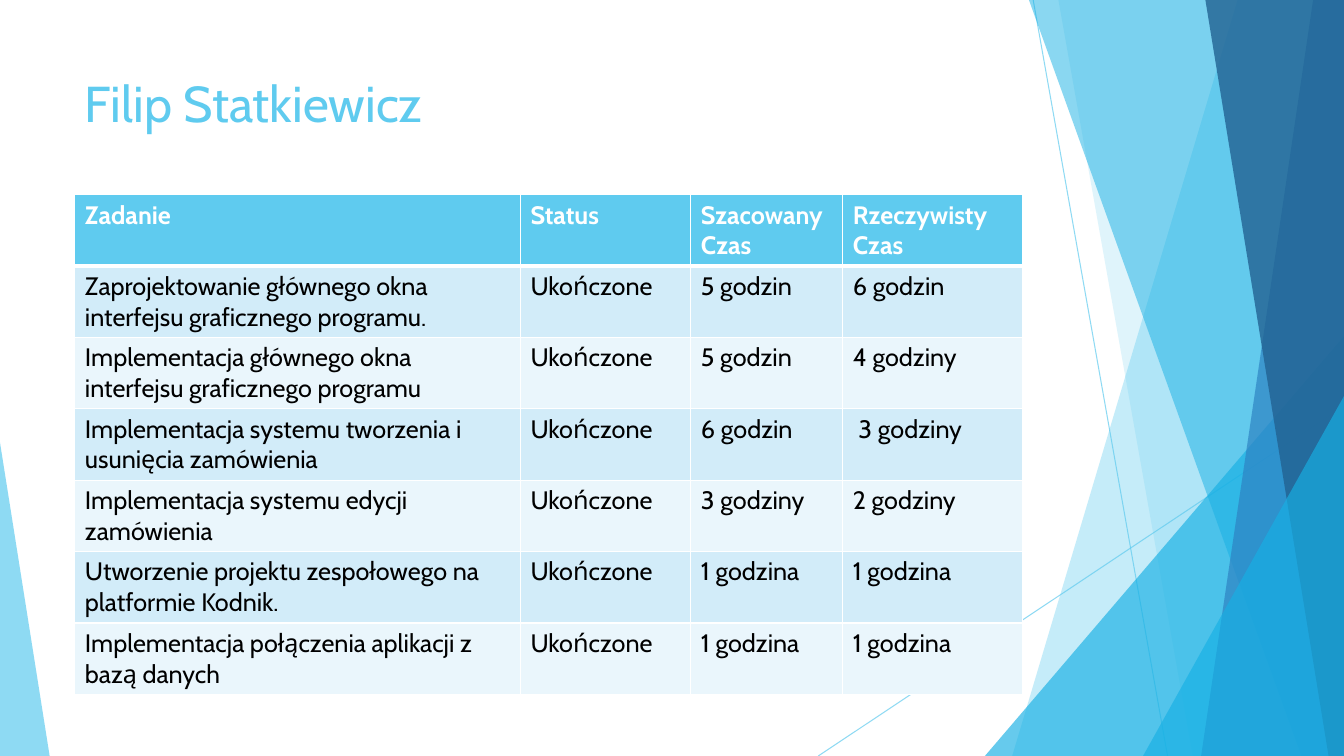
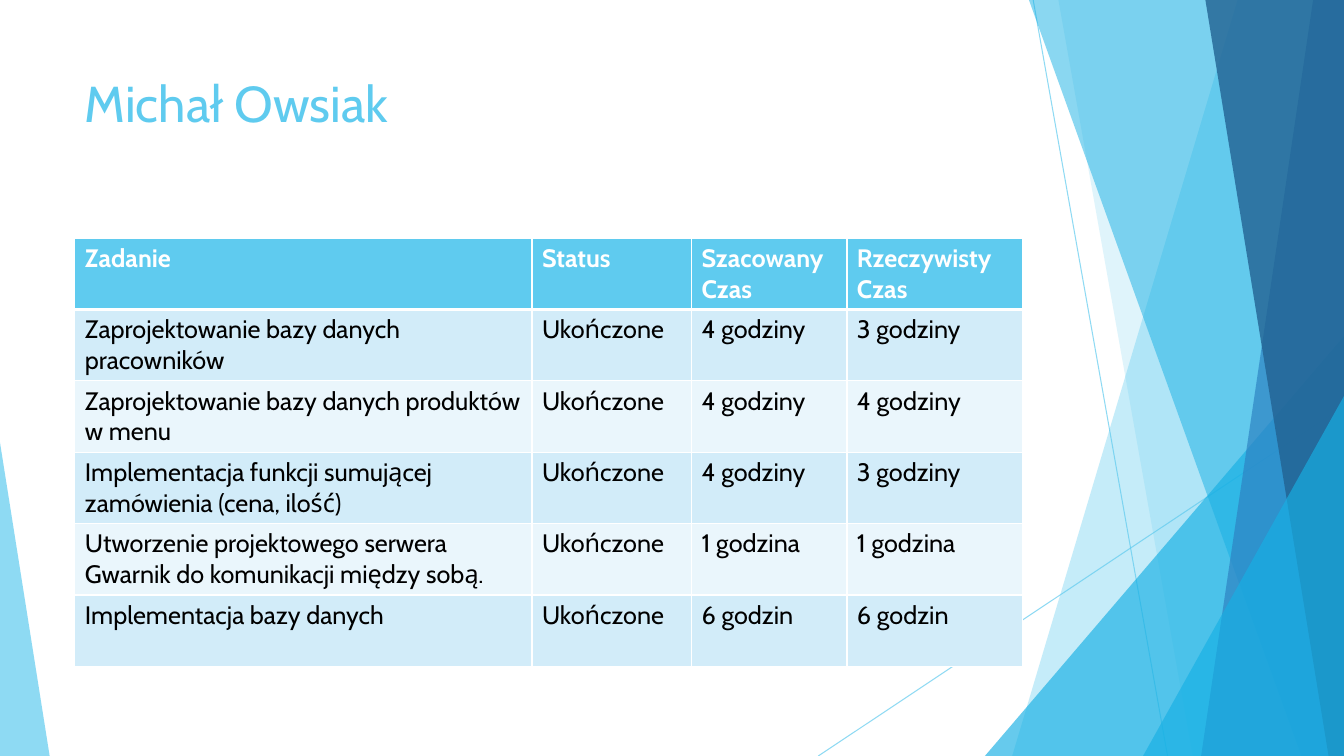
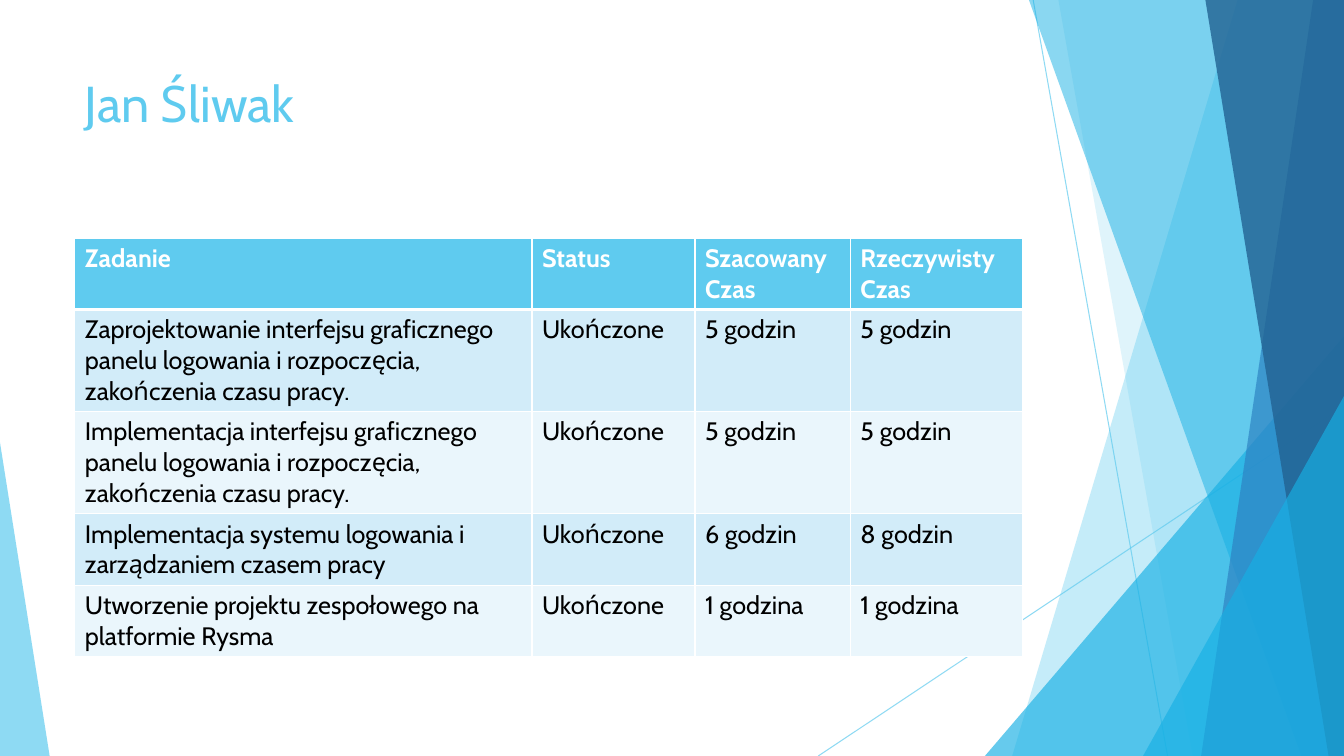
from lxml import etree
from pptx import Presentation
from pptx.dml.color import RGBColor
from pptx.enum.shapes import MSO_CONNECTOR, MSO_SHAPE
from pptx.oxml.ns import qn
from pptx.util import Pt

STRAIGHT = MSO_CONNECTOR.STRAIGHT
TRIANGLE = MSO_SHAPE.ISOSCELES_TRIANGLE

SKY = RGBColor(0x5F, 0xCB, 0xEF)
CYAN = RGBColor(0x17, 0xB0, 0xE4)
BLUE = RGBColor(0x2E, 0x83, 0xC3)
NAVY = RGBColor(0x22, 0x62, 0x92)
BAND_DARK = RGBColor(0xD2, 0xEC, 0xF9)
BAND_LIGHT = RGBColor(0xEA, 0xF6, 0xFC)
WHITE = RGBColor(0xFF, 0xFF, 0xFF)
BLACK = RGBColor(0, 0, 0)

FONT = "Cabin"
TITLE_SIZE, TABLE_SIZE = 36, 18
SLIDE_WIDTH, SLIDE_HEIGHT = 960, 540
LEFT, CONTENT_WIDTH = 53.5, 677
LINE_HEIGHT, CELL_PADDING = 22, 7

DONE = "Ukończone"
HEADER = ("Zadanie", "Status", "Szacowany Czas", "Rzeczywisty Czas")

# Each task: name, estimated time, actual time, lines of text in its row
MEMBERS = [
    {"name": "Filip Statkiewicz", "top": 139, "columns": (318.25, 121.75, 108.5, 128.5), "tasks": [
        ("Zaprojektowanie głównego okna interfejsu graficznego programu.", "5 godzin", "6 godzin", 2),
        ("Implementacja głównego okna interfejsu graficznego programu", "5 godzin", "4 godziny", 2),
        ("Implementacja systemu tworzenia i usunięcia zamówienia", "6 godzin", " 3 godziny", 2),
        ("Implementacja systemu edycji zamówienia", "3 godziny", "2 godziny", 2),
        ("Utworzenie projektu zespołowego na platformie Kodnik.", "1 godzina", "1 godzina", 2),
        ("Implementacja połączenia aplikacji z bazą danych", "1 godzina", "1 godzina", 2),
    ]},
    {"name": "Michał Owsiak", "top": 170, "columns": (326.5, 114, 111, 125.5), "tasks": [
        ("Zaprojektowanie bazy danych pracowników", "4 godziny", "3 godziny", 2),
        ("Zaprojektowanie bazy danych produktów w menu", "4 godziny", "4 godziny", 2),
        ("Implementacja funkcji sumującej zamówienia (cena, ilość)", "4 godziny", "3 godziny", 2),
        ("Utworzenie projektowego serwera Gwarnik do komunikacji między sobą.", "1 godzina", "1 godzina", 2),
        ("Implementacja bazy danych", "6 godzin", "6 godzin", 2),
    ]},
    {"name": "Jan Śliwak", "top": 170, "columns": (326.5, 116.5, 111, 123), "tasks": [
        ("Zaprojektowanie interfejsu graficznego panelu logowania i rozpoczęcia, zakończenia czasu pracy.",
         "5 godzin", "5 godzin", 3),
        ("Implementacja interfejsu graficznego panelu logowania i rozpoczęcia, zakończenia czasu pracy.",
         "5 godzin", "5 godzin", 3),
        ("Implementacja systemu logowania i zarządzaniem czasem pracy", "6 godzin", "8 godzin", 2),
        ("Utworzenie projektu zespołowego na platformie Rysma", "1 godzina", "1 godzina", 2),
    ]},
]

# Thin lines: x and y of both ends
RAYS = [(738, 0, 834, 540), (960, 290, 584.5, 540)]
# Panels run to the right edge: ("panel", x at top, x at bottom, colour, opacity)
# Triangles: ("triangle", (left, top, width, height), apex, colour, opacity)
FACETS = [
    ("panel", 884, 723, SKY, 36),
    ("panel", 756, 852, SKY, 20),
    ("triangle", (703.5, 240, 256.5, 300), 1, CYAN, 66),
    ("panel", 735, 929.5, CYAN, 50),
    ("panel", 938, 858, BLUE, 70),
    ("panel", 861, 949, NAVY, 80),
    ("triangle", (816.5, 283, 143.5, 257), 1, CYAN, 66),
    ("triangle", (0, 316, 35.5, 224), 0, SKY, 70),
]


def set_opacity(shape, percent):
    """Make the solid fill or line colour of a shape see-through."""
    colour = next(shape._element.spPr.iter(qn("a:srgbClr")))
    etree.SubElement(colour, qn("a:alpha")).set("val", str(percent * 1000))


def add_ray(slide, x1, y1, x2, y2):
    """Draw one thin background line."""
    ray = slide.shapes.add_connector(STRAIGHT, Pt(x1), Pt(y1), Pt(x2), Pt(y2))
    ray.line.color.rgb = SKY
    ray.line.width = Pt(0.75)
    set_opacity(ray, 70)
    etree.SubElement(ray._element.spPr, qn("a:effectLst"))


def add_facet(slide, kind, first, second, colour, opacity):
    """Draw one see-through background panel or triangle."""
    if kind == "panel":
        builder = slide.shapes.build_freeform(Pt(first), 0)
        corners = [(SLIDE_WIDTH, 0), (SLIDE_WIDTH, SLIDE_HEIGHT), (second, SLIDE_HEIGHT)]
        builder.add_line_segments([(Pt(x), Pt(y)) for x, y in corners], close=True)
        facet = builder.convert_to_shape()
    else:
        facet = slide.shapes.add_shape(TRIANGLE, *(Pt(length) for length in first))
        facet.adjustments[0] = second
    facet.shadow.inherit = False
    facet.fill.solid()
    facet.fill.fore_color.rgb = colour
    facet.line.fill.background()
    set_opacity(facet, opacity)


def write(frame, text, size, colour, bold=False):
    """Put one styled run in a text frame."""
    span = frame.paragraphs[0].add_run()
    span.text = text
    span.font.name = FONT
    span.font.size = Pt(size)
    span.font.bold = bold
    span.font.color.rgb = colour


def add_title(slide, text):
    """Add the slide title."""
    box = slide.shapes.add_textbox(Pt(LEFT), Pt(48), Pt(CONTENT_WIDTH), Pt(104))
    box.text_frame.word_wrap = True
    write(box.text_frame, text, TITLE_SIZE, SKY)


def set_borders(cell, top, bottom):
    """Give a cell white borders, with widths in points above and below."""
    properties = cell._tc.get_or_add_tcPr()
    for side, width in (("L", 1), ("R", 1), ("T", top), ("B", bottom)):
        line = etree.SubElement(properties, qn("a:ln" + side), w=str(Pt(width)))
        fill = etree.SubElement(line, qn("a:solidFill"))
        etree.SubElement(fill, qn("a:srgbClr"), val=str(WHITE))


def add_task_table(slide, member):
    """Add the table of one member's tasks."""
    rows = [(HEADER, 2)]
    rows += [((task, DONE, planned, actual), lines)
             for task, planned, actual, lines in member["tasks"]]
    heights = [lines * LINE_HEIGHT + CELL_PADDING for _, lines in rows]
    frame = slide.shapes.add_table(len(rows), len(HEADER), Pt(LEFT), Pt(member["top"]),
                                   Pt(CONTENT_WIDTH), Pt(sum(heights)))
    table = frame.table
    table.horz_banding = False
    for column, width in zip(table.columns, member["columns"]):
        column.width = Pt(width)
    for index, (texts, _) in enumerate(rows):
        table.rows[index].height = Pt(heights[index])
        is_header = index == 0
        band = SKY if is_header else BAND_DARK if index % 2 else BAND_LIGHT
        for cell, text in zip(table.rows[index].cells, texts):
            set_borders(cell, 3 if index == 1 else 1, 3 if is_header else 1)
            cell.fill.solid()
            cell.fill.fore_color.rgb = band
            write(cell.text_frame, text, TABLE_SIZE, WHITE if is_header else BLACK, is_header)


def main():
    """Build one slide per team member."""
    deck = Presentation()
    deck.slide_width, deck.slide_height = Pt(SLIDE_WIDTH), Pt(SLIDE_HEIGHT)
    for member in MEMBERS:
        slide = deck.slides.add_slide(deck.slide_layouts[6])
        for ray in RAYS:
            add_ray(slide, *ray)
        for facet in FACETS:
            add_facet(slide, *facet)
        add_title(slide, member["name"])
        add_task_table(slide, member)
    deck.save("out.pptx")


main()
